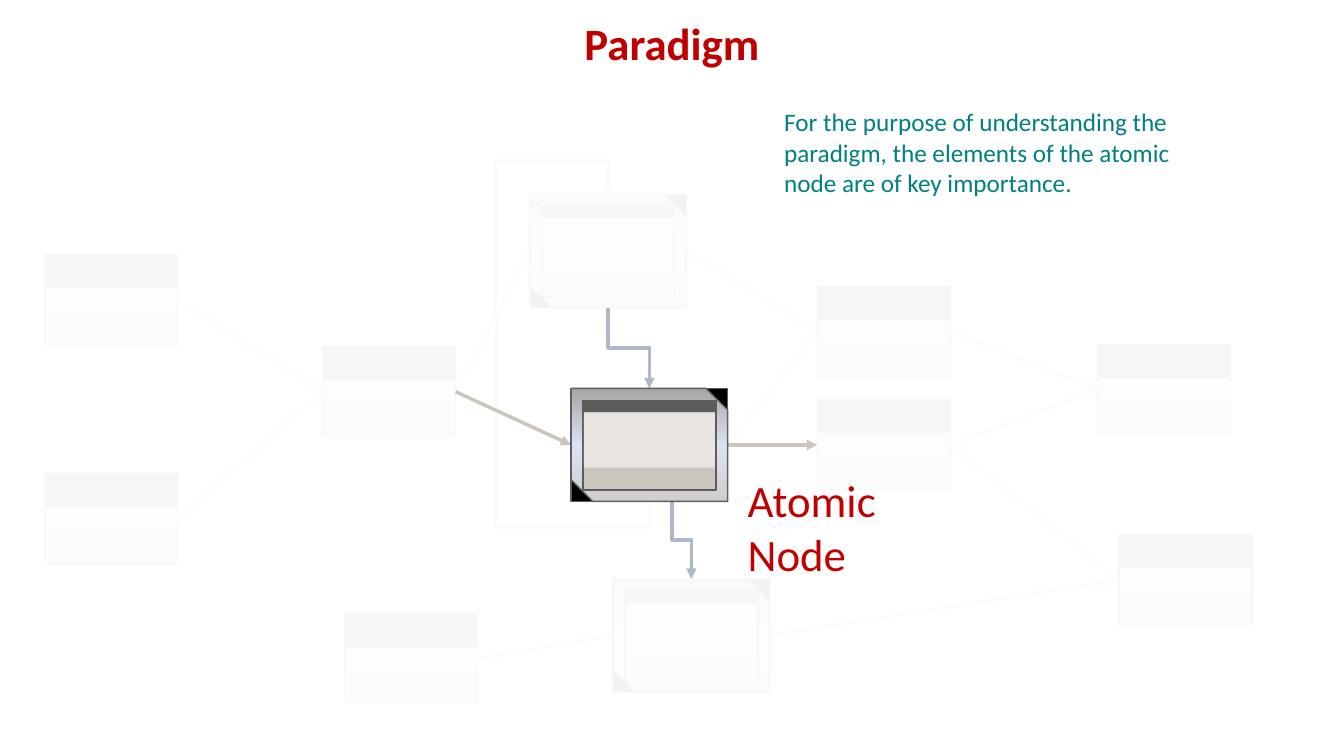
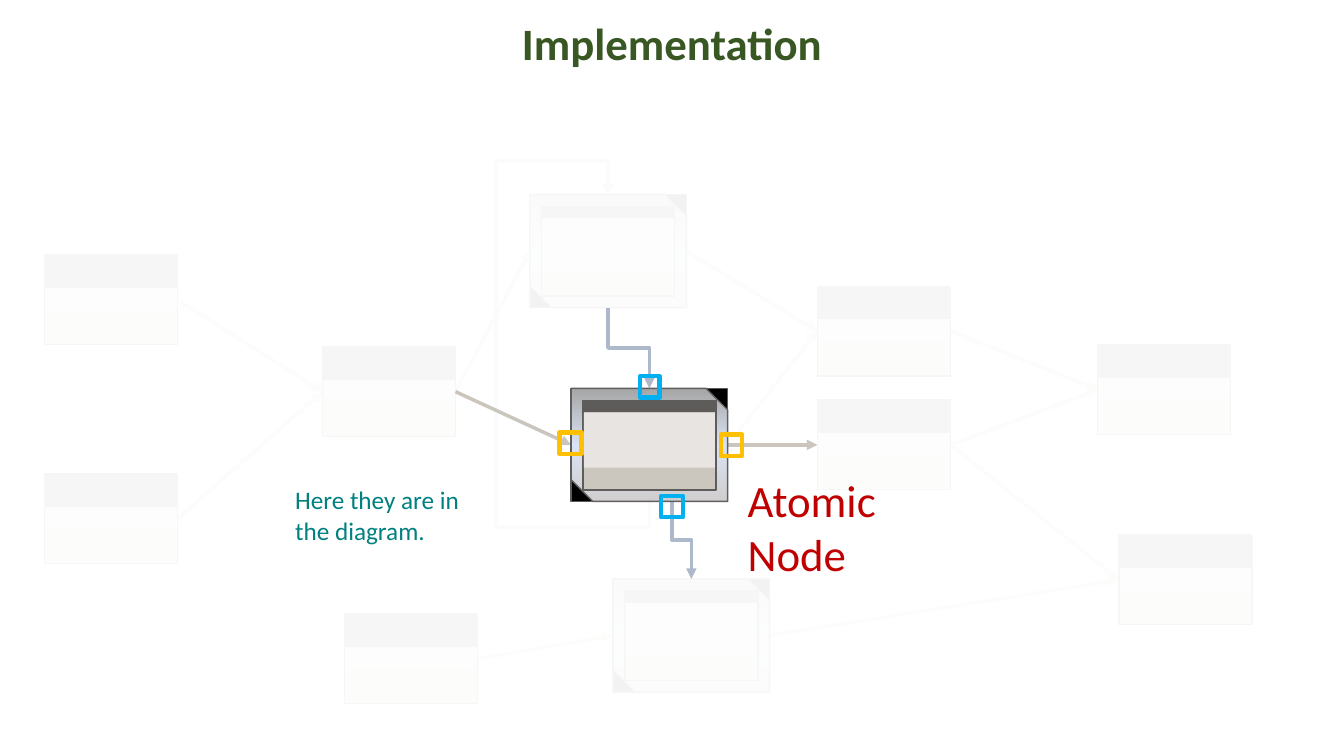
from copy import deepcopy

from lxml.etree import SubElement
from pptx import Presentation
from pptx.dml.color import RGBColor
from pptx.enum.shapes import MSO_CONNECTOR as Connector, MSO_SHAPE as Shape
from pptx.enum.text import MSO_ANCHOR as Anchor, MSO_AUTO_SIZE as AutoSize, PP_ALIGN as Align
from pptx.oxml.ns import qn
from pptx.util import Pt

WIDTH, HEIGHT = 960, 540
FONT = "Calibri"
RED, GREEN, TEAL, AMBER, SKY = "C00000", "385723", "008080", "FFC001", "00B0F0"
DARK, SAND, PALE, EDGE = "5E5C5A", "CBC6BE", "E7E4E1", "5F5F5F"
LINK, FLOW = "CBC6BD", "ADB9CA"
BLACK, WHITE = "000000", "FFFFFF"
SHADE_LOW, SHADE_HIGH, BLUE_TINT, GREY_TINT = "D0CECE", "A5A5A5", "DAE3F3", "D6DCE5"

# name: left, top
SIMPLE_SIZE = (95, 64)
SIMPLE_NODES = {
    "upper source": (31.9, 182.2),
    "lower source": (31.9, 338.4),
    "merge": (230.4, 247.8),
    "side input": (246.2, 438.6),
    "upper step": (583.9, 204.6),
    "lower step": (583.9, 285.8),
    "upper result": (784.1, 246.3),
    "lower result": (799.2, 382.2),
}
# name: left, top, middle colour of the frame
FRAMED_SIZE = (111.8, 80.8)
FRAMED_NODES = {
    "previous": (378.5, 139, GREY_TINT),
    "atomic": (408, 277.4, BLUE_TINT),
    "next": (438, 413.5, BLUE_TINT),
}
# left, top, width, height within the node, fill, outline
SIMPLE_PARTS = [
    (0, 23, 95, 41, SAND, DARK),
    (1, 24, 93.6, 15, PALE, None),
    (0, 0, 95, 23, DARK, DARK),
]
FRAMED_PARTS = [
    (8.4, 8.6, 95, 64, SAND, DARK),
    (9, 17.6, 93.6, 39, PALE, None),
    (9, 8.6, 94.3, 8, DARK, DARK),
]
FADED_LINKS = [
    ("upper source", "merge"), ("lower source", "merge"), ("merge", "previous"),
    ("previous", "upper step"), ("side input", "next"), ("lower step", "lower result"),
    ("next", "lower result"), ("upper step", "upper result"),
    ("lower step", "upper result"), ("atomic", "upper step"),
]
CLEAR_LINKS = [("atomic", "lower step"), ("merge", "atomic")]
# start, end, bends as fractions of the height and width
FEEDBACK = ((463.9, 358.2), (434.3, 139), (-0.084, 3.705, 1.11))
CLEAR_FLOWS = [
    ((434.3, 219.8), (463.9, 277.4), (0.5,)),
    ((480, 358.2), (493.9, 413.5), (0.5,)),
]
VEIL = (0, 77.8, WIDTH, 432)
TITLE_BOX = (0, 11.5, WIDTH, 42.5)
NODE_LABEL = (["Atomic", "Node"], (527, 334, 142, 85))

SLIDES = [
    {
        "title": ("Paradigm", RED),
        "note": ("For the purpose of understanding the paradigm, the elements of "
                 "the atomic node are of key importance.", (553, 72.7, 311, 72.7)),
        "markers": [],
    },
    {
        "title": ("Implementation", GREEN),
        "note": ("Here they are in the diagram.", (203.8, 342.7, 131.8, 51)),
        "markers": [
            (399.6, 308.9, 15.8, 15.4, AMBER), (457.2, 268.6, 13.9, 15.4, SKY),
            (472.3, 354.2, 15.4, 15.4, SKY), (514.8, 310.3, 15.4, 15.4, AMBER),
        ],
    },
]


def rgb(color):
    return RGBColor.from_string(color)


def points(values):
    return [Pt(value) for value in values]


def add_box(slide, box, fill=None, outline=None, weight=1, preset=Shape.RECTANGLE):
    shape = slide.shapes.add_shape(preset, *points(box))
    shape.shadow.inherit = False
    if fill:
        shape.fill.solid()
        shape.fill.fore_color.rgb = rgb(fill)
    else:
        shape.fill.background()
    if outline:
        shape.line.color.rgb = rgb(outline)
        shape.line.width = Pt(weight)
    else:
        shape.line.fill.background()
    return shape


def add_text(slide, lines, box, color, size, bold=False, **paragraph_format):
    frame = slide.shapes.add_textbox(*points(box)).text_frame
    frame.word_wrap = True
    font_format = {"name": FONT, "size": Pt(size), "bold": bold}
    for index, line in enumerate(lines):
        paragraph = frame.add_paragraph() if index else frame.paragraphs[0]
        paragraph.text = line
        for name, value in paragraph_format.items():
            setattr(paragraph, name, value)
        for name, value in font_format.items():
            setattr(paragraph.font, name, value)
        paragraph.font.color.rgb = rgb(color)
    return frame


def add_parts(slide, parts, left, top):
    for dx, dy, width, height, fill, outline in parts:
        add_box(slide, (left + dx, top + dy, width, height), fill, outline)


def add_framed_node(slide, name):
    """Draw a framed node and return its rectangle, to which links are joined."""
    left, top, tint = FRAMED_NODES[name]
    box = (left, top, *FRAMED_SIZE)
    back = add_box(slide, box, BLACK, DARK)
    frame = add_box(slide, box, None, EDGE, preset=Shape.SNIP_2_DIAG_RECTANGLE)
    frame.adjustments[0], frame.adjustments[1] = 0, 0.191
    frame.fill.gradient()
    frame.fill.gradient_angle = 90
    stop_list = next(frame.element.iter(qn("a:gsLst")))
    stop_list.insert(1, deepcopy(stop_list[0]))
    shades = (SHADE_LOW, tint, SHADE_HIGH)
    for stop, position, shade in zip(frame.fill.gradient_stops, (0, 0.5, 1), shades):
        stop.position = position
        stop.color.rgb = rgb(shade)
    add_parts(slide, FRAMED_PARTS, left, top)
    return back


def add_arrow(slide, kind, start, end, color):
    connector = slide.shapes.add_connector(kind, *points((*start, *end)))
    connector.line.color.rgb = rgb(color)
    connector.line.width = Pt(2.5)
    properties = connector.element.spPr
    SubElement(properties.find(qn("a:ln")), qn("a:tailEnd"), type="triangle")
    SubElement(properties, qn("a:effectLst"))
    return connector


def side_middle(name, right):
    if name in SIMPLE_NODES:
        (left, top), (width, height) = SIMPLE_NODES[name], SIMPLE_SIZE
    else:
        (left, top, _), (width, height) = FRAMED_NODES[name], FRAMED_SIZE
    return left + width * right, top + height / 2


def add_links(slide, links):
    """Draw arrows from right sides to left sides; return them with their node names."""
    return [(add_arrow(slide, Connector.STRAIGHT, side_middle(source, True),
                       side_middle(target, False), LINK), source, target)
            for source, target in links]


def add_flow(slide, start, end, bends):
    """Draw an elbow arrow that leaves and arrives vertically, as a turned connector."""
    (x1, y1), (x2, y2) = start, end
    half_length, half_span = abs(y2 - y1) / 2, abs(x2 - x1) / 2
    x, y = (x1 + x2) / 2, (y1 + y2) / 2
    connector = add_arrow(slide, Connector.ELBOW, (x + half_length, y - half_span),
                          (x - half_length, y + half_span), FLOW)
    properties = connector.element.spPr
    turn = 270 if y2 > y1 else 90
    properties.find(qn("a:xfrm")).set("rot", str(turn * 60000))
    geometry = properties.find(qn("a:prstGeom"))
    geometry.set("prst", f"bentConnector{len(bends) + 2}")
    guides = geometry.find(qn("a:avLst"))
    if guides is None:
        guides = SubElement(geometry, qn("a:avLst"))
    for number, bend in enumerate(bends, 1):
        SubElement(guides, qn("a:gd"), name=f"adj{number}", fmla=f"val {round(bend * 100000)}")


def add_diagram(slide):
    links = add_links(slide, FADED_LINKS)
    add_flow(slide, *FEEDBACK)
    for left, top in SIMPLE_NODES.values():
        add_parts(slide, SIMPLE_PARTS, left, top)
    frames = {name: add_framed_node(slide, name) for name in ("next", "previous")}

    veil = add_box(slide, VEIL, WHITE)
    veil_color = next(veil.element.spPr.iter(qn("a:srgbClr")))
    SubElement(veil_color, qn("a:alpha"), val="95000")

    for flow in CLEAR_FLOWS:
        add_flow(slide, *flow)
    links += add_links(slide, CLEAR_LINKS)
    frames["atomic"] = add_framed_node(slide, "atomic")
    for connector, source, target in links:
        if source in frames:
            connector.begin_connect(frames[source], 3)
        if target in frames:
            connector.end_connect(frames[target], 1)


def add_slide(presentation, content):
    slide = presentation.slides.add_slide(presentation.slide_layouts[6])
    add_diagram(slide)
    lines, box = NODE_LABEL
    add_text(slide, lines, box, RED, 32).auto_size = AutoSize.SHAPE_TO_FIT_TEXT
    title, color = content["title"]
    title_frame = add_text(slide, [title], TITLE_BOX, color, 32, True,
                           alignment=Align.CENTER, line_spacing=0.9)
    title_frame.vertical_anchor = Anchor.BOTTOM
    for *box, color in content["markers"]:
        add_box(slide, box, None, color, 3)
    note, box = content["note"]
    add_text(slide, [note], box, TEAL, 18).auto_size = AutoSize.SHAPE_TO_FIT_TEXT


def main():
    presentation = Presentation()
    presentation.slide_width, presentation.slide_height = Pt(WIDTH), Pt(HEIGHT)
    for content in SLIDES:
        add_slide(presentation, content)
    presentation.save("out.pptx")


if __name__ == "__main__":
    main()
